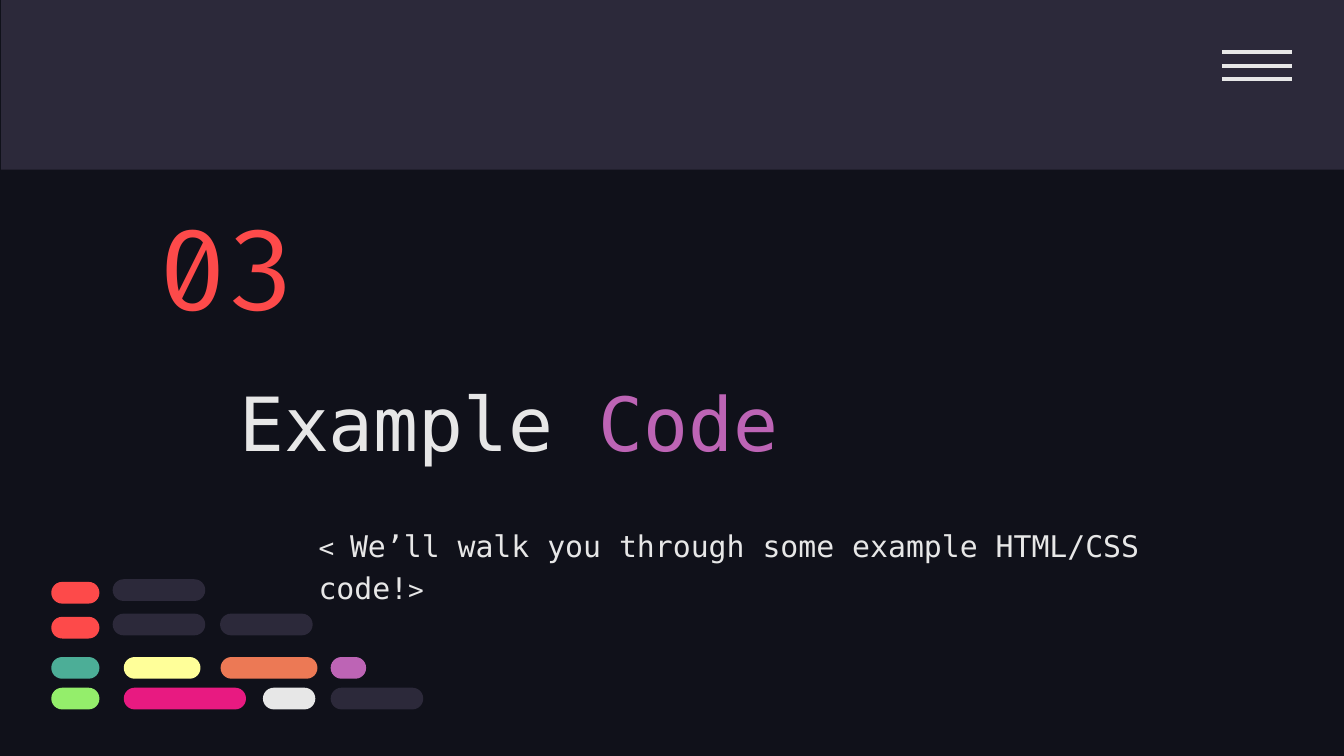
import pptx
import pptx.dml.color
import pptx.enum.shapes
import pptx.enum.text
import pptx.oxml.xmlchemy
import pptx.util
from pptx.util import Cm

BACKGROUND, PANEL, LIGHT = "10111A", "2C293A", "E7E7E7"
RED, PURPLE = "FD4A4A", "BD64B5"
MONO, NUMBER_FONT = "DejaVu Sans Mono", "Fira Code"
PILL_HEIGHT = 0.41

# Each row: top, then (left, width, colour) of its pills, in centimetres
PILL_ROWS = [
    (10.95, [(2.13, 1.75, PANEL)]),
    (11, [(0.97, 0.91, RED)]),
    (11.6, [(2.13, 1.75, PANEL), (4.16, 1.75, PANEL)]),
    (11.66, [(0.97, 0.91, RED)]),
    (12.42, [(0.97, 0.91, "4CAE97"), (2.34, 1.45, "FFFF99"),
             (4.17, 1.83, "EC7955"), (6.25, 0.67, PURPLE)]),
    (13, [(0.97, 0.91, "94EE6B"), (2.34, 2.31, "E81A81"),
          (4.97, 0.99, LIGHT), (6.25, 1.75, PANEL)]),
]


def colour(value):
    return pptx.dml.color.RGBColor.from_string(value)


def apply_format(target, values):
    for name, value in values.items():
        setattr(target, name, value)


def add_block(slide, kind, left, top, width, height, fill):
    shape = slide.shapes.add_shape(kind, Cm(left), Cm(top), Cm(width), Cm(height))
    shape.shadow.inherit = False
    shape.fill.solid()
    shape.fill.fore_color.rgb = colour(fill)
    shape.line.fill.background()
    return shape


def add_pill(slide, left, top, width, fill):
    kind = pptx.enum.shapes.MSO_SHAPE.ROUNDED_RECTANGLE
    pill = add_block(slide, kind, left, top, width, PILL_HEIGHT, fill)
    pill.adjustments[0] = 0.5


def add_menu_line(slide, top):
    line = slide.shapes.add_connector(
        pptx.enum.shapes.MSO_CONNECTOR.STRAIGHT, Cm(23.09), Cm(top), Cm(24.41), Cm(top))
    line.line.color.rgb = colour(LIGHT)
    line.line.width = pptx.util.Pt(2.25)
    properties = line._element.spPr
    properties.append(pptx.oxml.xmlchemy.OxmlElement("a:effectLst"))


def write_text(shape, box, runs, anchor, line_spacing=1.0):
    """Place the shape and fill it with runs of (text, font, size, colour)."""
    apply_format(shape, dict(zip(("left", "top", "width", "height"), map(Cm, box))))
    frame = shape.text_frame
    margins = ("margin_left", "margin_top", "margin_right", "margin_bottom")
    apply_format(frame, dict.fromkeys(margins, Cm(0.25)))
    apply_format(frame, {
        "word_wrap": True,
        "auto_size": pptx.enum.text.MSO_AUTO_SIZE.NONE,
        "vertical_anchor": anchor,
    })
    paragraph = frame.paragraphs[0]
    apply_format(paragraph, {
        "alignment": pptx.enum.text.PP_ALIGN.LEFT,
        "space_before": pptx.util.Pt(0),
        "line_spacing": line_spacing,
    })
    for text, font, size, text_colour in runs:
        run = paragraph.add_run()
        run.text = text
        apply_format(run.font, {"name": font, "size": pptx.util.Pt(size)})
        run.font.color.rgb = colour(text_colour)


def main():
    presentation = pptx.Presentation()
    apply_format(presentation, {"slide_width": Cm(25.4), "slide_height": Cm(14.29)})
    slide = presentation.slides.add_slide(presentation.slide_layouts[0])
    slide.background.fill.solid()
    slide.background.fill.fore_color.rgb = colour(BACKGROUND)

    add_block(slide, pptx.enum.shapes.MSO_SHAPE.RECTANGLE, 0.02, 0, 25.38, 3.21, PANEL)
    for index in range(3):
        add_menu_line(slide, 0.99 + index * 0.25)

    middle = pptx.enum.text.MSO_ANCHOR.MIDDLE
    write_text(slide.shapes.title, (4.27, 6.3, 18.44, 3.33),
               [("Example ", MONO, 40, LIGHT), ("Code", MONO, 40, PURPLE)], middle)
    number = slide.shapes.add_textbox(0, 0, 0, 0)
    write_text(number, (2.74, 3.76, 4.6, 2.54), [("03", NUMBER_FONT, 60, RED)], middle)
    write_text(slide.placeholders[1], (5.77, 9.63, 16.79, 0.79),
               [("< ", MONO, 14, LIGHT),
                ("We’ll walk you through some example HTML/CSS code!", MONO, 16, LIGHT),
                (">", MONO, 14, LIGHT)],
               pptx.enum.text.MSO_ANCHOR.TOP, line_spacing=1.15)

    for top, pills in PILL_ROWS:
        for left, width, fill in pills:
            add_pill(slide, left, top, width, fill)

    presentation.save("out.pptx")


if __name__ == "__main__":
    main()
